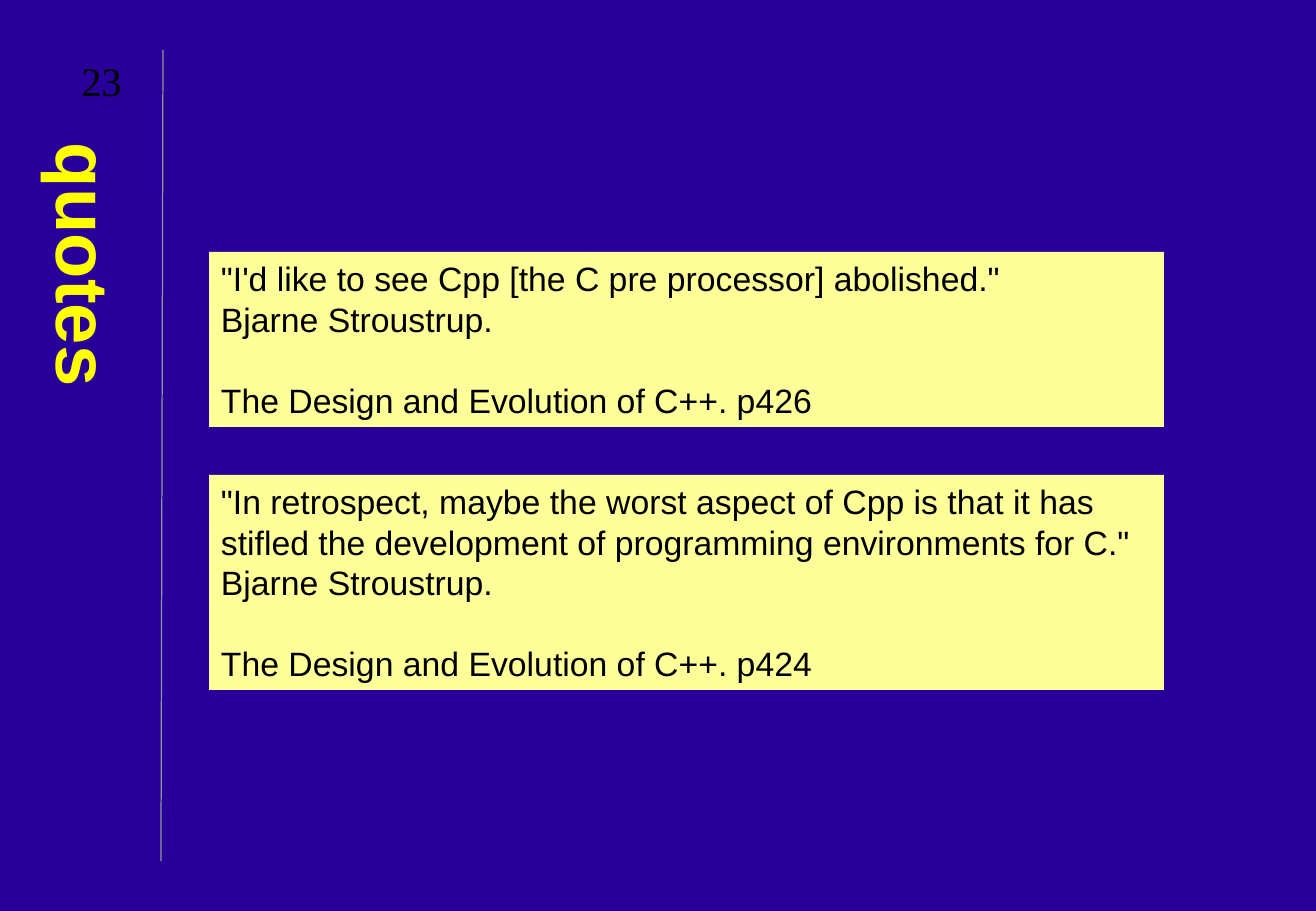
"""Build the slide of quotes about the C pre processor."""
import dataclasses

import lxml.etree
import pptx
import pptx.dml.color
import pptx.enum.shapes
import pptx.enum.text
import pptx.oxml.ns
import pptx.util

PX = 914400 / 121.4
ALIGN = pptx.enum.text.PP_ALIGN
ANCHOR = pptx.enum.text.MSO_ANCHOR


@dataclasses.dataclass(frozen=True)
class Theme:
    """Colours, fonts and type sizes of the slide."""
    background: str = "280099"
    panel: str = "FFFF99"
    title: str = "FFFF00"
    text: str = "000000"
    rule: str = "969696"
    sans: str = "Arial"
    serif: str = "Times New Roman"
    title_size: int = 44
    quote_size: int = 20
    quote_leading: int = 24
    number_size: int = 24


THEME = Theme()

QUOTES = [
    (252, 175, ['"I\'d like to see Cpp [the C pre processor] abolished."',
                "Bjarne Stroustrup."],
     "The Design and Evolution of C++. p426"),
    (475, 215, ['"In retrospect, maybe the worst aspect of Cpp is that it has',
                'stifled the development of programming environments for C."',
                "Bjarne Stroustrup."],
     "The Design and Evolution of C++. p424"),
]


def px(*lengths):
    """Turn pixel lengths into EMU."""
    return [round(length * PX) for length in lengths]


def rgb(value):
    """Return the colour for a hex string."""
    return pptx.dml.color.RGBColor.from_string(value)


def apply(target, **formats):
    """Set each format value on the target."""
    for name, value in formats.items():
        setattr(target, name, value)


def write(paragraph, text, font, size, colour, bold=False, **formats):
    """Put one styled run of text into a paragraph."""
    apply(paragraph, **formats)
    run = paragraph.add_run()
    run.text = text
    apply(run.font, name=font, size=pptx.util.Pt(size), bold=bold)
    run.font.color.rgb = rgb(colour)


def add_rule(slide):
    """Draw the thin line beside the title."""
    rule = slide.shapes.add_connector(
        pptx.enum.shapes.MSO_CONNECTOR.STRAIGHT, *px(161, 861, 163, 50))
    rule.line.color.rgb = rgb(THEME.rule)
    rule.line.width = pptx.util.Pt(0.75)
    lxml.etree.SubElement(rule.element.spPr, pptx.oxml.ns.qn("a:effectLst"))


def add_label(slide, bounds, text, font, size, colour, bold=False):
    """Add a centred one-line text box."""
    label = slide.shapes.add_textbox(*px(*bounds))
    apply(label.text_frame, word_wrap=True, vertical_anchor=ANCHOR.MIDDLE)
    write(label.text_frame.paragraphs[0], text, font, size, colour, bold,
          alignment=ALIGN.CENTER)
    return label


def add_title(slide, text):
    """Add the title running down the left margin."""
    title = add_label(slide, (30, 131, 112, 728), text, THEME.sans,
                      THEME.title_size, THEME.title, bold=True)
    side, end = px(6, 12)
    apply(title.text_frame, margin_left=side, margin_right=side,
          margin_top=end, margin_bottom=end)
    title.element.txBody.bodyPr.set("vert", "eaVert")


def add_quote(slide, top, height, lines, citation):
    """Add a panel with a quote and, set apart below it, the citation."""
    panel = slide.shapes.add_shape(pptx.enum.shapes.MSO_SHAPE.RECTANGLE,
                                   *px(209, top, 955, height))
    panel.shadow.inherit = False
    panel.fill.solid()
    panel.fill.fore_color.rgb = rgb(THEME.panel)
    panel.line.fill.background()
    frame = panel.text_frame
    apply(frame, word_wrap=True, vertical_anchor=ANCHOR.TOP,
          auto_size=pptx.enum.text.MSO_AUTO_SIZE.SHAPE_TO_FIT_TEXT)
    leading = pptx.util.Pt(THEME.quote_leading)
    for index, text in enumerate([*lines, citation]):
        paragraph = frame.add_paragraph() if index else frame.paragraphs[0]
        write(paragraph, text, THEME.sans, THEME.quote_size, THEME.text,
              alignment=ALIGN.LEFT, line_spacing=leading)
    paragraph.space_before = leading


def main():
    """Build and save the slide."""
    deck = pptx.Presentation()
    deck.slide_width, deck.slide_height = px(1316, 911)
    slide = deck.slides.add_slide(deck.slide_layouts[6])
    slide.background.fill.solid()
    slide.background.fill.fore_color.rgb = rgb(THEME.background)
    add_rule(slide)
    add_title(slide, "quotes")
    for quote in QUOTES:
        add_quote(slide, *quote)
    add_label(slide, (51, 50, 101, 61), "23", THEME.serif,
              THEME.number_size, THEME.text)
    deck.save("out.pptx")


if __name__ == "__main__":
    main()
